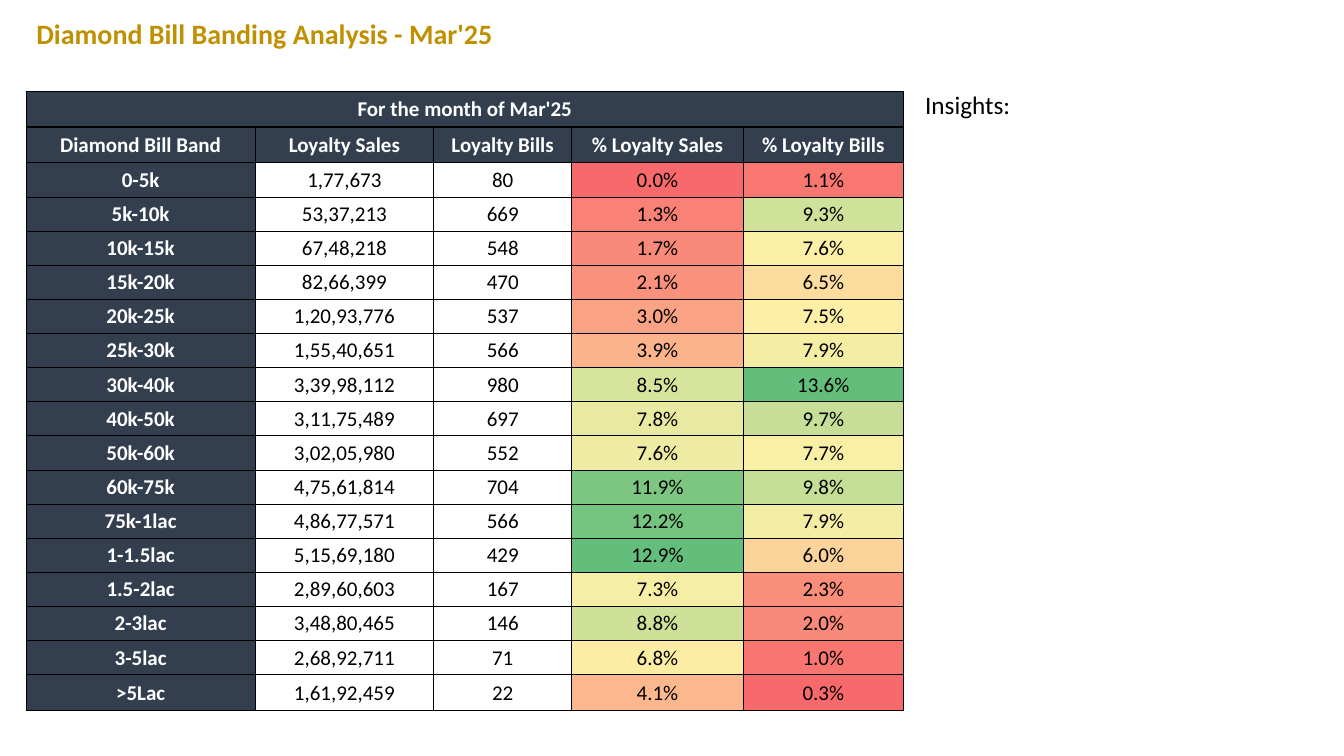
"""Builds the Diamond bill banding slide for March 2025."""
from dataclasses import dataclass

from lxml.etree import SubElement
from pptx import Presentation
from pptx.dml.color import RGBColor
from pptx.enum.text import MSO_ANCHOR, MSO_AUTO_SIZE, PP_ALIGN
from pptx.oxml.ns import qn
from pptx.util import Cm, Pt

TITLE = "Diamond Bill Banding Analysis - Mar'25"
INSIGHTS = "Insights:"
PERIOD = "For the month of Mar'25"
HEADINGS = ("Diamond Bill Band", "Loyalty Sales", "Loyalty Bills", "% Loyalty Sales", "% Loyalty Bills")
BANDS = [
    ("0-5k", "1,77,673", "80", "0.0%", "1.1%"),
    ("5k-10k", "53,37,213", "669", "1.3%", "9.3%"),
    ("10k-15k", "67,48,218", "548", "1.7%", "7.6%"),
    ("15k-20k", "82,66,399", "470", "2.1%", "6.5%"),
    ("20k-25k", "1,20,93,776", "537", "3.0%", "7.5%"),
    ("25k-30k", "1,55,40,651", "566", "3.9%", "7.9%"),
    ("30k-40k", "3,39,98,112", "980", "8.5%", "13.6%"),
    ("40k-50k", "3,11,75,489", "697", "7.8%", "9.7%"),
    ("50k-60k", "3,02,05,980", "552", "7.6%", "7.7%"),
    ("60k-75k", "4,75,61,814", "704", "11.9%", "9.8%"),
    ("75k-1lac", "4,86,77,571", "566", "12.2%", "7.9%"),
    ("1-1.5lac", "5,15,69,180", "429", "12.9%", "6.0%"),
    ("1.5-2lac", "2,89,60,603", "167", "7.3%", "2.3%"),
    ("2-3lac", "3,48,80,465", "146", "8.8%", "2.0%"),
    ("3-5lac", "2,68,92,711", "71", "6.8%", "1.0%"),
    (">5Lac", "1,61,92,459", "22", "4.1%", "0.3%"),
]
SALES_HEAT = ("F8696B F98175 F98979 F9917C FAA284 FBB38B D7E49C E9EAA1 "
              "EEEBA2 7CC682 75C480 63BE7B F7EEA5 CFE199 FDECA4 FBB78D").split()
BILLS_HEAT = ("F87771 D0E29A FCF0A6 FDDD9E FDF0A6 F4EEA4 63BE7B C6DE97 "
              "F9EFA5 C4DE96 F4EEA4 FCD39A F98E7B F98979 F87570 F8696B").split()
HEAT_COLUMNS = {3: SALES_HEAT, 4: BILLS_HEAT}

COLUMN_WIDTHS = (5.77, 4.5, 3.48, 4.32, 4.04)
TALL_ROW, BAND_ROW = 0.9, 0.86
HEADER_ROWS = 2
HEAVY_COLUMN_EDGES = {0, 1, 3, 5}


@dataclass(frozen=True)
class Theme:
    font: str = "Calibri"
    gold: str = "BF9000"
    navy: str = "333F4F"
    white: str = "FFFFFF"
    black: str = "000000"
    title_size: int = 20
    insights_size: int = 18
    table_size: int = 15
    heavy_line: float = 1
    light_line: float = 0.5


THEME = Theme()


def add_run(paragraph, text, size, color, bold=False):
    run = paragraph.add_run()
    run.text = text
    run.font.name = THEME.font
    run.font.size = Pt(size)
    run.font.bold = bold
    run.font.color.rgb = RGBColor.from_string(color)


def fill_placeholder(placeholder, place, text, size, color, bold=False):
    placeholder.left, placeholder.top, placeholder.width, placeholder.height = map(Cm, place)
    frame = placeholder.text_frame
    frame.word_wrap = True
    frame.auto_size = MSO_AUTO_SIZE.SHAPE_TO_FIT_TEXT
    frame.vertical_anchor = MSO_ANCHOR.TOP
    paragraph = frame.paragraphs[0]
    properties = paragraph._p.get_or_add_pPr()
    properties.set("marL", "0")
    properties.set("indent", "0")
    SubElement(properties, qn("a:buNone"))
    paragraph.alignment = PP_ALIGN.LEFT
    paragraph.space_before = Pt(0)
    add_run(paragraph, text, size, color, bold)


def add_borders(cell, row, column, last_row):
    def row_edge_is_heavy(edge):
        return edge in (0, 1, last_row + 1) or (edge == HEADER_ROWS and column == 0)

    heavy = {
        "a:lnL": column in HEAVY_COLUMN_EDGES or row == 0,
        "a:lnR": column + 1 in HEAVY_COLUMN_EDGES or row == 0,
        "a:lnT": row_edge_is_heavy(row),
        "a:lnB": row_edge_is_heavy(row + 1),
    }
    properties = cell._tc.get_or_add_tcPr()
    for side, is_heavy in heavy.items():
        weight = THEME.heavy_line if is_heavy else THEME.light_line
        border = SubElement(properties, qn(side), w=str(Pt(weight)))
        fill = SubElement(border, qn("a:solidFill"))
        SubElement(fill, qn("a:srgbClr"), val=THEME.black)


def format_cell(cell, text, row, column, last_row):
    add_borders(cell, row, column, last_row)
    is_heading = row < HEADER_ROWS or column == 0
    if is_heading or column in HEAT_COLUMNS:
        color = THEME.navy if is_heading else HEAT_COLUMNS[column][row - HEADER_ROWS]
        cell.fill.solid()
        cell.fill.fore_color.rgb = RGBColor.from_string(color)
    else:
        cell.fill.background()
    cell.vertical_anchor = MSO_ANCHOR.MIDDLE
    cell.margin_left = cell.margin_right = cell.margin_top = Cm(0.02)
    cell.margin_bottom = Cm(0)
    if text:
        paragraph = cell.text_frame.paragraphs[0]
        paragraph.alignment = PP_ALIGN.CENTER
        add_run(paragraph, text, THEME.table_size, THEME.white if is_heading else THEME.black, is_heading)


def add_band_table(slide):
    rows = [(PERIOD,) + ("",) * (len(HEADINGS) - 1), HEADINGS, *BANDS]
    last_row = len(rows) - 1
    heights = [TALL_ROW if row < HEADER_ROWS or row == last_row else BAND_ROW for row in range(len(rows))]
    table = slide.shapes.add_table(len(rows), len(HEADINGS), Cm(0.66), Cm(2.3),
                                   Cm(sum(COLUMN_WIDTHS)), Cm(sum(heights))).table
    table.first_row = table.horz_banding = False
    for column, width in zip(table.columns, COLUMN_WIDTHS):
        column.width = Cm(width)
    for band, height in zip(table.rows, heights):
        band.height = Cm(height)
    table.cell(0, 0).merge(table.cell(0, len(HEADINGS) - 1))
    for row, texts in enumerate(rows):
        for column, text in enumerate(texts):
            format_cell(table.cell(row, column), text, row, column, last_row)


def main():
    deck = Presentation()
    deck.slide_width, deck.slide_height = Cm(33.87), Cm(19.05)
    slide = deck.slides.add_slide(deck.slide_layouts[1])
    fill_placeholder(slide.shapes.title, (0.66, 0.3, 32.23, 1.11), TITLE, THEME.title_size, THEME.gold, True)
    fill_placeholder(slide.placeholders[1], (23.06, 2.13, 10.13, 1.03), INSIGHTS, THEME.insights_size, THEME.black)
    add_band_table(slide)
    deck.save("out.pptx")


if __name__ == "__main__":
    main()
